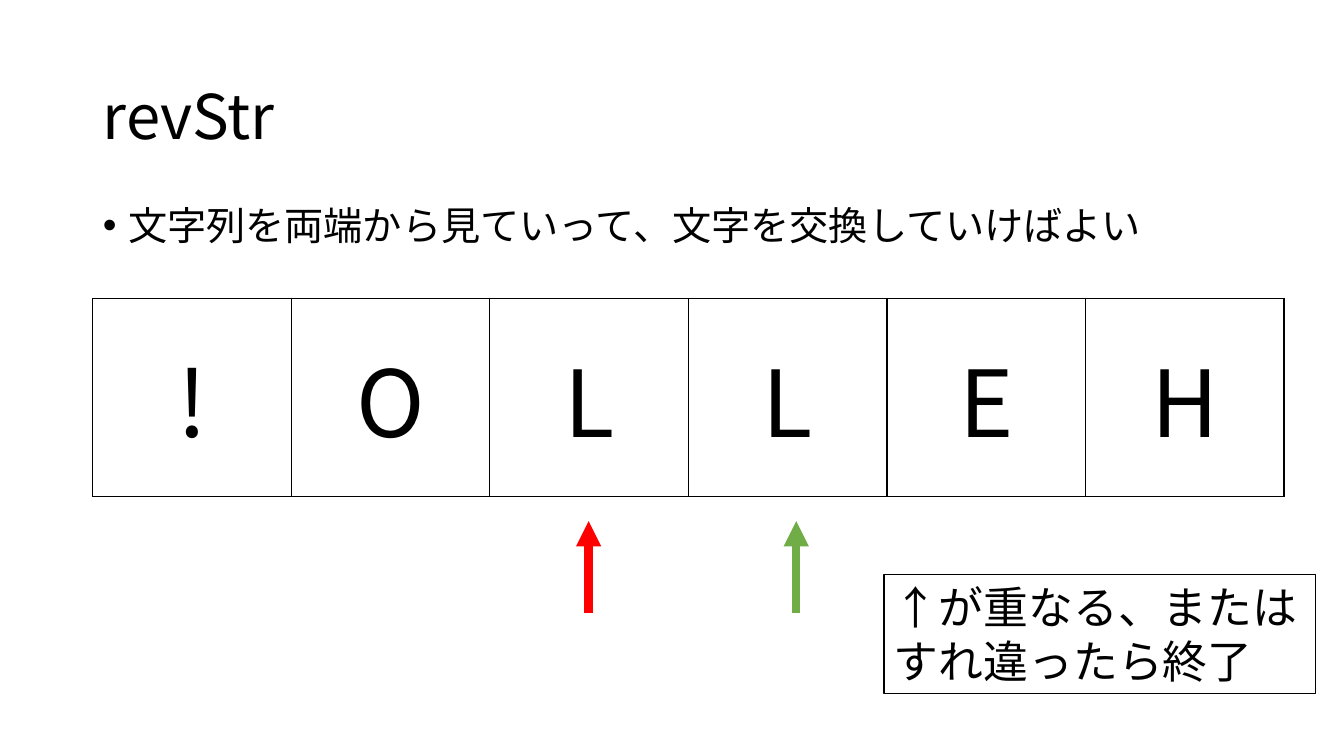
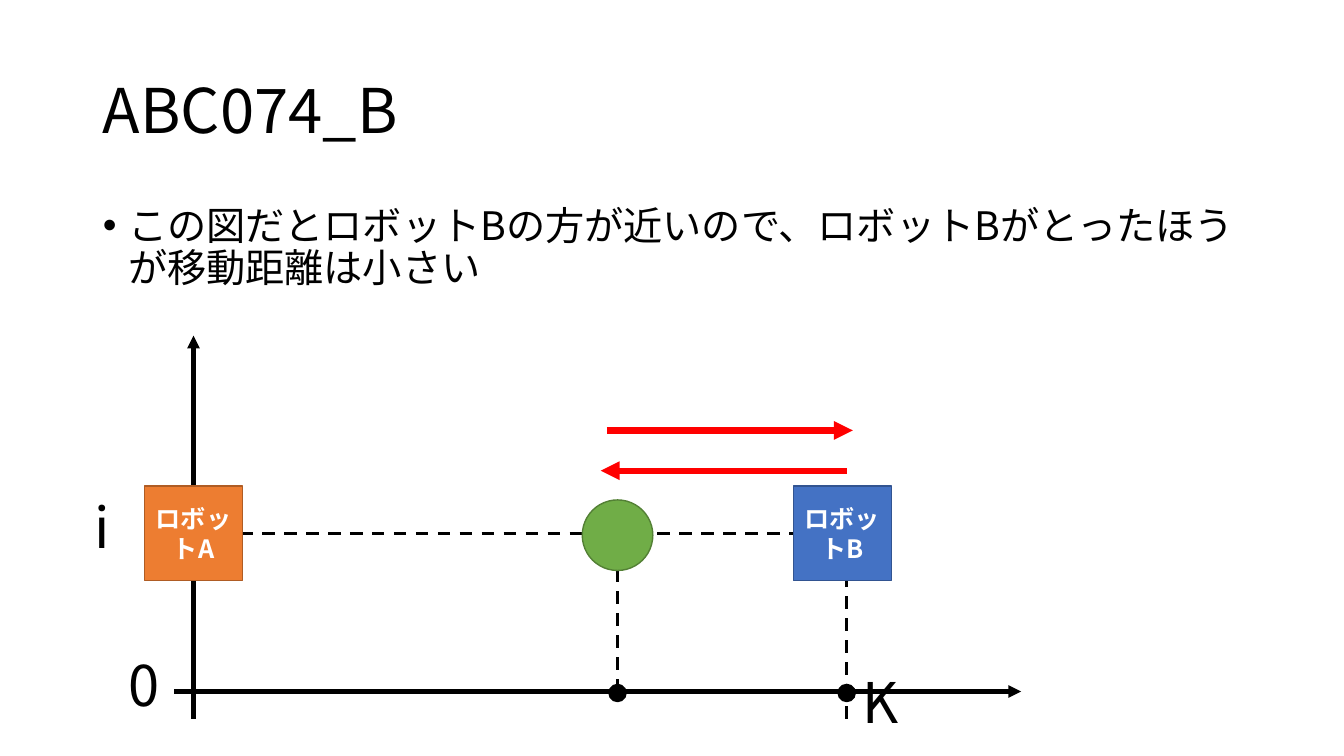
import dataclasses

import lxml.etree
import pptx
import pptx.dml.color
import pptx.enum.dml
import pptx.enum.lang
import pptx.enum.shapes
import pptx.enum.text
import pptx.oxml.ns
import pptx.util

ALIGN = pptx.enum.text.PP_ALIGN
ANCHOR = pptx.enum.text.MSO_ANCHOR
FIT = pptx.enum.text.MSO_AUTO_SIZE
SHAPE = pptx.enum.shapes.MSO_SHAPE


@dataclasses.dataclass(frozen=True)
class Theme:
    """Page grid, colours (RRGGBB) and type sizes (points)."""
    font: str = "Noto Sans CJK JP"
    width: float = 13.33
    height: float = 7.5
    columns: int = 40
    rows: int = 30
    black: str = "000000"
    white: str = "FFFFFF"
    red: str = "FF0000"
    green: str = "70AD47"
    green_edge: str = "538035"
    orange: str = "ED7D31"
    orange_edge: str = "AF5C24"
    blue: str = "4472C4"
    blue_edge: str = "325491"
    title: int = 44
    body: int = 28
    letter: int = 66
    note: int = 32
    axis: int = 40
    robot: int = 18


def rgb(code):
    """Turn RRGGBB into a colour."""
    return pptx.dml.color.RGBColor.from_string(code)


def add_xml(parent, tag, **attributes):
    """Append a DrawingML element to its parent."""
    return lxml.etree.SubElement(parent, pptx.oxml.ns.qn("a:" + tag), attributes)


@dataclasses.dataclass
class Deck:
    """Holds the style, the presentation and the current slide."""
    theme: Theme
    show: object
    slide: object = None

    def x(self, columns):
        """Length of a number of grid columns."""
        return pptx.util.Inches(self.theme.width * columns / self.theme.columns)

    def y(self, rows):
        """Length of a number of grid rows."""
        return pptx.util.Inches(self.theme.height * rows / self.theme.rows)

    def box(self, left, top, width, height):
        """Grid rectangle as slide lengths."""
        return self.x(left), self.y(top), self.x(width), self.y(height)

    def add_text(self, frame, lines, size, color=None, bold=False, align=ALIGN.LEFT,
                 anchor=ANCHOR.TOP, fit=FIT.NONE):
        """Fill a text frame, one run for each line."""
        frame.word_wrap = True
        frame.auto_size = fit
        frame.vertical_anchor = anchor
        for number, line in enumerate(lines):
            paragraph = frame.add_paragraph() if number else frame.paragraphs[0]
            paragraph.alignment = align
            run = paragraph.add_run()
            run.text = line
            run.font.size = pptx.util.Pt(size)
            run.font.bold = bold
            run.font.name = self.theme.font
            run.font.language_id = pptx.enum.lang.MSO_LANGUAGE_ID.JAPANESE
            run.font.color.rgb = rgb(color or self.theme.black)
            add_xml(run._r.get_or_add_rPr(), "ea", typeface=self.theme.font)

    def place(self, placeholder, *area):
        """Move a placeholder to a grid rectangle."""
        (placeholder.left, placeholder.top,
         placeholder.width, placeholder.height) = self.box(*area)

    def page(self, heading, point, heading_top, point_height):
        """Start a slide with its title and single bullet."""
        self.slide = self.show.slides.add_slide(self.show.slide_layouts[1])
        title, body = self.slide.placeholders
        self.place(title, 2.76, heading_top, 34.5, 5.8)
        self.add_text(title.text_frame, [heading], self.theme.title, anchor=ANCHOR.MIDDLE)
        self.place(body, 2.76, 8, 34.5, point_height)
        self.add_text(body.text_frame, [point], self.theme.body)
        for placeholder in (title, body):
            placeholder.text_frame.paragraphs[0].line_spacing = 0.9
        bullet = body.text_frame.paragraphs[0]
        bullet.space_before = pptx.util.Pt(10)
        indent = pptx.util.Inches(0.25)
        properties = bullet._p.get_or_add_pPr()
        properties.set("marL", str(indent))
        properties.set("indent", str(-indent))
        add_xml(properties, "buFont", typeface="Arial")
        add_xml(properties, "buChar", char="•")

    def shape(self, kind, area, fill, edge):
        """Draw a filled preset shape with a thin edge."""
        shape = self.slide.shapes.add_shape(kind, *self.box(*area))
        shape.shadow.inherit = False
        shape.fill.solid()
        shape.fill.fore_color.rgb = rgb(fill)
        shape.line.color.rgb = rgb(edge)
        shape.line.width = pptx.util.Pt(1)
        return shape

    def centred(self, kind, centre, size, fill, edge):
        """Draw a shape around a centre point."""
        (across, down), (width, height) = centre, size
        area = across - width / 2, down - height / 2, width, height
        return self.shape(kind, area, fill, edge)

    def line(self, start, end, color, weight, arrow=True, dashed=False):
        """Draw a straight line, with an arrowhead at its end if asked."""
        line = self.slide.shapes.add_connector(
            pptx.enum.shapes.MSO_CONNECTOR.STRAIGHT,
            self.x(start[0]), self.y(start[1]), self.x(end[0]), self.y(end[1]))
        line.line.color.rgb = rgb(color)
        line.line.width = pptx.util.Pt(weight)
        if dashed:
            line.line.dash_style = pptx.enum.dml.MSO_LINE.DASH
        properties = line._element.spPr
        if arrow:
            add_xml(properties.get_or_add_ln(), "tailEnd", type="triangle")
        add_xml(properties, "effectLst")

    def label(self, text, left, top):
        """Place an axis label."""
        label = self.slide.shapes.add_textbox(*self.box(left, top, 1.65, 3.08))
        self.add_text(label.text_frame, [text], self.theme.axis, fit=FIT.SHAPE_TO_FIT_TEXT)

    def letters(self, word, left, top, width, height):
        """Show a word as a table row, one letter in each cell."""
        table = self.slide.shapes.add_table(
            1, len(word), *self.box(left, top, width * len(word), height)).table
        table.first_row = table.horz_banding = False
        for column, letter in enumerate(word):
            table.columns[column].width = self.x(width)
            cell = table.cell(0, column)
            self.add_text(cell.text_frame, [letter], self.theme.letter, align=ALIGN.CENTER)
            cell.vertical_anchor = ANCHOR.MIDDLE
            properties = cell._tc.get_or_add_tcPr()
            for side in ("lnL", "lnR", "lnT", "lnB"):
                border = add_xml(properties, side, w=str(pptx.util.Pt(1)))
                add_xml(add_xml(border, "solidFill"), "srgbClr", val=self.theme.black)
            cell.fill.solid()
            cell.fill.fore_color.rgb = rgb(self.theme.white)


def reversal(deck):
    """Reversed string with its two meeting pointers."""
    theme = deck.theme
    deck.page("revStr", "文字列を両端から見ていって、文字を交換していけばよい", 1.84, 19.04)
    deck.letters("!OLLEH", 2.76, 11.84, 5.91, 7.88)
    for pointer, color in ((23.7, theme.green), (17.52, theme.red)):
        deck.line((pointer, 24.32), (pointer, 20.68), color, 6)
    ending = deck.shape(SHAPE.RECTANGLE, (26.31, 22.8, 12.84, 4.72),
                        theme.white, theme.black)
    deck.add_text(ending.text_frame, ["↑が重なる、または", "すれ違ったら終了"],
                  theme.note, fit=FIT.SHAPE_TO_FIT_TEXT)


def robots(deck):
    """Two robots and the ball that the nearer one fetches."""
    theme = deck.theme
    axis_x, ball_x, goal_x = 5.76, 18.38, 25.2
    ground, level, bottom = 27.44, 21.16, 28.52
    deck.page("ABC074_B", "この図だとロボットBの方が近いので、ロボットBがとったほうが移動距離は小さい",
              1.6, 4.64)
    deck.line((ball_x, ground), (ball_x, 20.92), theme.black, 2.25, dashed=True)
    deck.line((goal_x, bottom), (goal_x, 21.96), theme.black, 2.25, dashed=True)
    deck.line((axis_x, bottom), (axis_x, 13.32), theme.black, 3)
    deck.line((5.19, level), (24.33, level), theme.black, 2.25, arrow=False, dashed=True)
    for name, centre, fill, edge in (
            ("ロボットA", axis_x, theme.orange, theme.orange_edge),
            ("ロボットB", 25.07, theme.blue, theme.blue_edge)):
        robot = deck.centred(SHAPE.RECTANGLE, (centre, level), (2.91, 3.76), fill, edge)
        deck.add_text(robot.text_frame, [name], theme.robot, theme.white, True,
                      ALIGN.CENTER, ANCHOR.MIDDLE)
    deck.centred(SHAPE.OVAL, (ball_x, 21.24), (2.1, 2.8), theme.green, theme.green_edge)
    deck.line((5.19, ground), (30.39, ground), theme.black, 3)
    for text, left, top in (("i", 2.52, 19.36), ("K", 25.38, 26.28), ("0", 3.54, 25.6)):
        deck.label(text, left, top)
    for mark in (goal_x, ball_x):
        deck.centred(SHAPE.OVAL, (mark, 27.5), (0.51, 0.68), theme.black, theme.black)
    for start, end, height in ((18.06, 25.38, 17.08), (25.2, 17.88, 18.68)):
        deck.line((start, height), (end, height), theme.red, 4.5)


def main():
    """Build both slides and save them."""
    theme = Theme()
    show = pptx.Presentation()
    show.slide_width = pptx.util.Inches(theme.width)
    show.slide_height = pptx.util.Inches(theme.height)
    deck = Deck(theme, show)
    reversal(deck)
    robots(deck)
    show.save("out.pptx")


main()
